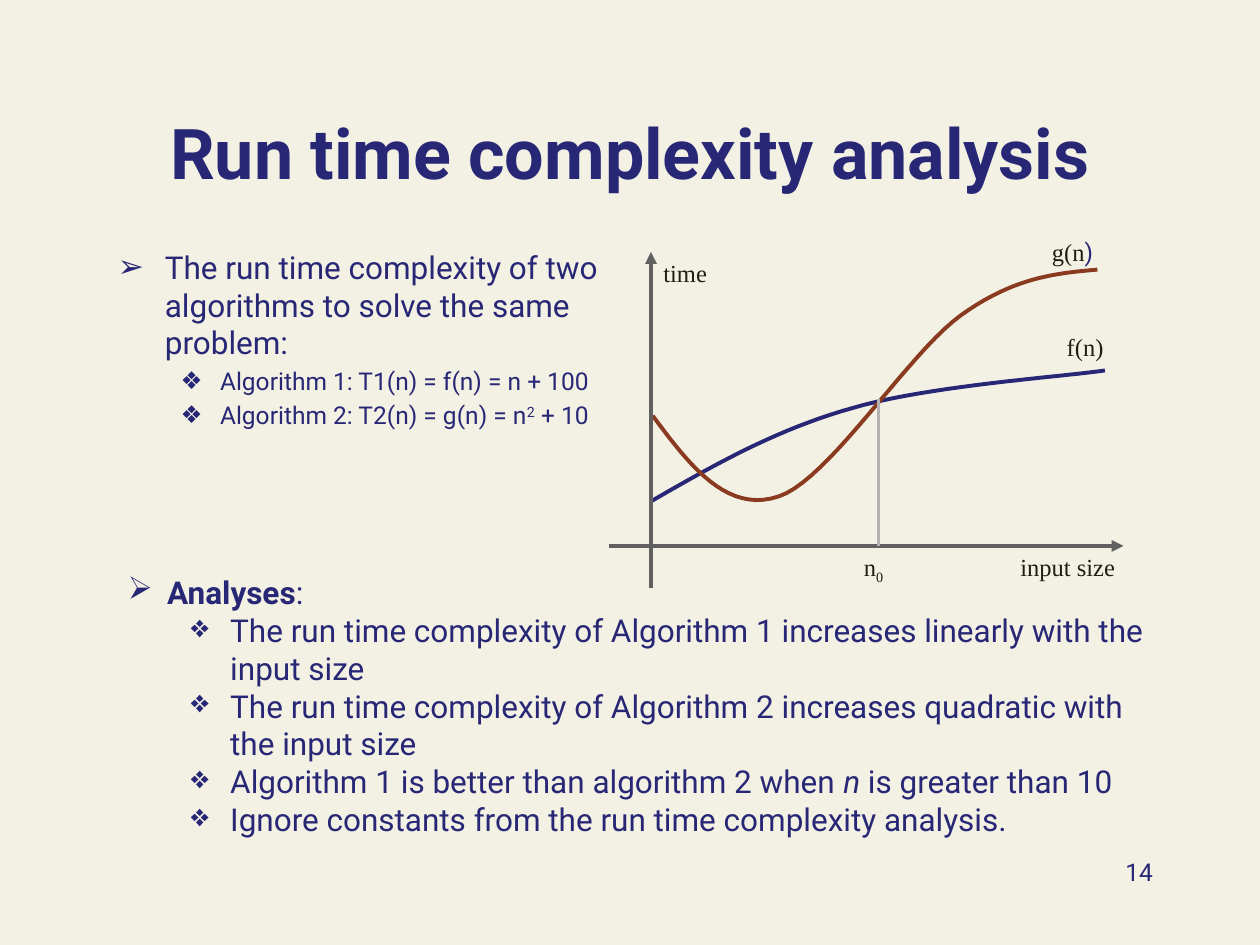
from lxml import etree
from pptx import Presentation
from pptx.dml.color import RGBColor
from pptx.enum.shapes import MSO_CONNECTOR
from pptx.enum.text import MSO_ANCHOR, MSO_AUTO_SIZE, PP_ALIGN
from pptx.oxml.ns import qn
from pptx.util import Pt

LINE = MSO_CONNECTOR.STRAIGHT
BOTTOM = MSO_ANCHOR.BOTTOM
FIXED = MSO_AUTO_SIZE.NONE
LEFT, CENTER, RIGHT = PP_ALIGN.LEFT, PP_ALIGN.CENTER, PP_ALIGN.RIGHT
SANS, SERIF = "Roboto", "Times New Roman"
NAVY, BROWN, INK = "272776", "893A1F", "201E0E"
GRAY, SILVER, CREAM = "606060", "B2B2B2", "F3F1E4"


def color(code):
    return RGBColor.from_string(code)


def write(para, parts, size, face=SANS, hue=NAVY, align=LEFT):
    """Fill a paragraph with (text, style) runs; a number as style is a baseline shift."""
    para.alignment = align
    para.font.size = Pt(size)
    para.font.name = face
    para.font.color.rgb = color(hue)
    for text, style in parts:
        run = para.add_run()
        run.text = text
        if style == "bold":
            run.font.bold = True
        elif style == "italic":
            run.font.italic = True
        elif style == "navy":
            run.font.name = SANS
            run.font.color.rgb = color(NAVY)
        elif style:
            run._r.get_or_add_rPr().set("baseline", str(style * 1000))


deck = Presentation()
deck.slide_width, deck.slide_height = Pt(720), Pt(540)
slide = deck.slides.add_slide(deck.slide_layouts[1])
slide.background.fill.solid()
slide.background.fill.fore_color.rgb = color(CREAM)
shapes = slide.shapes

# Title
title = shapes.title
title.left, title.top, title.width, title.height = Pt(54), Pt(36), Pt(612), Pt(78)
title.text_frame.vertical_anchor = BOTTOM
title.text_frame.auto_size = FIXED
write(title.text_frame.paragraphs[0], [("Run time complexity analysis", "bold")],
      40, align=CENTER)

# Bulleted lists: level, left margin, hanging indent, space before, size, runs
body = slide.placeholders[1]
body.left, body.top, body.width, body.height = Pt(60), Pt(138), Pt(300), Pt(195)
notes = shapes.add_textbox(Pt(66), Pt(324), Pt(612), Pt(160))
lists = [
    (body, [
        (0, 27, 27, 0, 18, [("The run time complexity of two algorithms "
                             "to solve the same problem:", None)]),
        (1, 58.5, 22.5, 2.8, 14, [("Algorithm 1: T1(n) = f(n) = n + 100", None)]),
        (1, 58.5, 22.5, 2.8, 14, [("Algorithm 2: T2(n) = g(n) = n", None),
                                  ("2", 30), (" + 10", None)]),
    ]),
    (notes, [
        (0, 22.5, 22.5, 0, 18, [("Analyses", "bold"), (":", None)]),
        (1, 58.5, 22.5, 0, 18, [("The run time complexity of Algorithm 1 increases "
                                 "linearly with the input size", None)]),
        (1, 58.5, 22.5, 0, 18, [("The run time complexity of Algorithm 2 increases "
                                 "quadratic with the input size", None)]),
        (1, 58.5, 22.5, 0, 18, [("Algorithm 1 is better than algorithm 2 when ", None),
                                ("n", "italic"), (" is greater than 10", None)]),
        (1, 58.5, 22.5, 0, 18, [("Ignore constants from the run time complexity "
                                 "analysis.", None)]),
    ]),
]
for box, items in lists:
    frame = box.text_frame
    frame.word_wrap = True
    frame.auto_size = FIXED
    for row, (level, margin, hang, gap, size, parts) in enumerate(items):
        para = frame.add_paragraph() if row else frame.paragraphs[0]
        para.level = level
        para.space_before = Pt(gap)
        write(para, parts, size)
        props = para._p.get_or_add_pPr()
        props.set("marL", str(Pt(margin)))
        props.set("indent", str(-Pt(hang)))
        tint = etree.Element(qn("a:buClr"))
        etree.SubElement(tint, qn("a:srgbClr"), val=NAVY)
        mark = etree.Element(qn("a:buChar"), char="❖" if level else "➢")
        fonts = props.find(qn("a:defRPr"))
        fonts.addprevious(tint)
        fonts.addprevious(mark)

# Slide number
page = shapes.add_textbox(Pt(516), Pt(486), Pt(150), Pt(36))
page.text_frame.word_wrap = True
write(page.text_frame.paragraphs[0], [("14", None)], 14, align=RIGHT)

# Curves: a start point, then cubic segments of two handles and an end
curves = [
    (NAVY, (372, 286.5), [
        ((408, 265.7), (443.5, 245.5), (486.7, 233.3)),
        ((530.6, 220.3), (607.7, 215.3), (631.4, 211.7))]),
    (BROWN, (373, 237.6), [
        ((393.8, 265.7), (415.4, 293.8), (445, 283.7)),
        ((473.8, 274.3), (519.1, 201.6), (549.4, 180)),
        ((579.6, 158.4), (603.4, 156.2), (627.1, 154.1))]),
]
STEPS = 20
for hue, start, parts in curves:
    pen = shapes.build_freeform(Pt(start[0]), Pt(start[1]))
    dots = []
    for one, two, end in parts:
        for step in range(1, STEPS + 1):
            t = step / STEPS
            u = 1 - t
            dots.append([Pt(u**3 * a + 3 * u * u * t * b + 3 * u * t * t * c + t**3 * d)
                         for a, b, c, d in zip(start, one, two, end)])
        start = end
    pen.add_line_segments(dots, close=False)
    curve = pen.convert_to_shape()
    curve.shadow.inherit = False
    curve.fill.background()
    curve.line.color.rgb = color(hue)
    curve.line.width = Pt(2.25)

# Axes and the marker at the crossing
for x1, y1, x2, y2, hue, arrow in [
    (372, 336, 372, 144, GRAY, True),
    (348, 312, 642, 312, GRAY, True),
    (502, 228, 502, 312, SILVER, False),
]:
    line = shapes.add_connector(LINE, Pt(x1), Pt(y1), Pt(x2), Pt(y2))
    line.line.color.rgb = color(hue)
    line.line.width = Pt(2.25)
    if arrow:
        etree.SubElement(line.line._get_or_add_ln(), qn("a:tailEnd"), type="triangle")
    etree.SubElement(line._element.spPr, qn("a:effectLst"))

# Chart labels
for x, y, width, parts in [
    (372, 144, 41, [("time", None)]),
    (576, 312, 69, [("input size", None)]),
    (594, 132, 39.5, [("g(n", None), (")", "navy")]),
    (602.5, 186, 35.5, [("f(n)", None)]),
    (486.5, 312, 26, [("n", None), ("0", -25)]),
]:
    label = shapes.add_textbox(Pt(x), Pt(y), Pt(width), Pt(24.5))
    label.text_frame.word_wrap = False
    write(label.text_frame.paragraphs[0], parts, 14, SERIF, INK)

deck.save("out.pptx")
